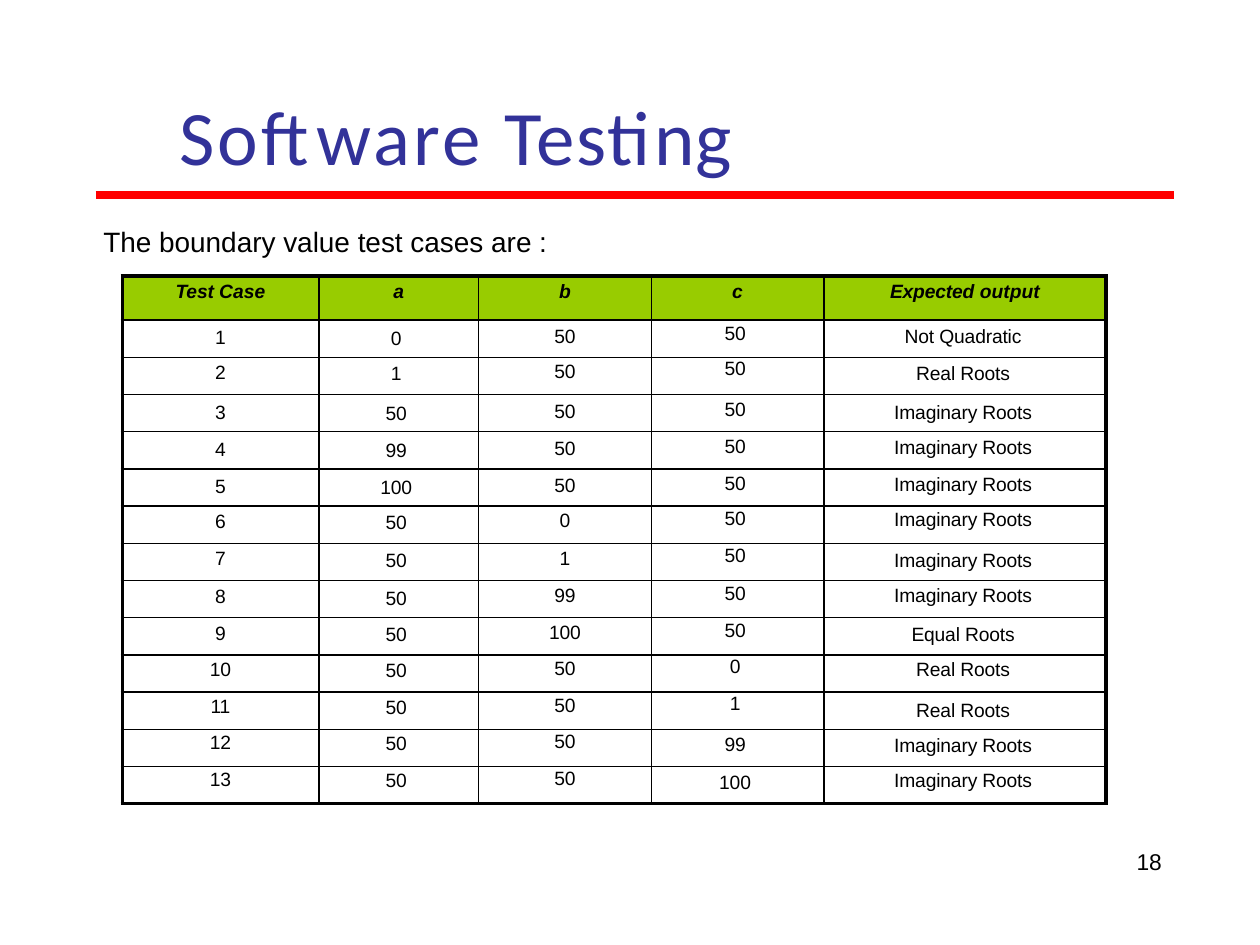
from dataclasses import dataclass

import pptx
import pptx.dml.color
import pptx.enum.shapes
import pptx.enum.text
import pptx.oxml
import pptx.oxml.ns
import pptx.slide
import pptx.util

Inches = pptx.util.Inches
Pt = pptx.util.Pt
ALIGN = pptx.enum.text.PP_ALIGN
ANCHOR = pptx.enum.text.MSO_ANCHOR


def color(hex_string):
    return pptx.dml.color.RGBColor.from_string(hex_string)


def drawing_element(body):
    namespace = pptx.oxml.ns.nsdecls("a")
    return pptx.oxml.parse_xml(body.replace(">", f" {namespace}>", 1))


@dataclass
class SlideBuilder:
    slide: pptx.slide.Slide
    font: str = "Arial"
    text_color: str = "000000"
    header_fill: str = "98CC00"
    cell_size: float = 11
    inner_border: float = 1
    outer_border: float = 2.25

    def add_run(self, paragraph, text, size, spacing=0, font=None, hex_color=None,
                emphasis=False):
        run = paragraph.add_run()
        run.text = text
        run.font.size = Pt(size)
        run.font.name = font or self.font
        run.font.bold = run.font.italic = emphasis
        run.font.color.rgb = color(hex_color or self.text_color)
        if spacing:
            run.font._element.set("spc", str(round(spacing * 100)))

    def text(self, left, top, width, height, runs, size, align=ALIGN.LEFT,
             anchor=ANCHOR.TOP, line_spacing=None, **style):
        box = self.slide.shapes.add_textbox(
            Inches(left), Inches(top), Inches(width), Inches(height))
        frame = box.text_frame
        frame.word_wrap = True
        frame.vertical_anchor = anchor
        frame.margin_left = frame.margin_right = frame.margin_bottom = 0
        frame.margin_top = Inches(0.01)
        paragraph = frame.paragraphs[0]
        paragraph.alignment = align
        if line_spacing:
            paragraph.line_spacing = Pt(line_spacing)
        for text, spacing in runs:
            self.add_run(paragraph, text, size, spacing, **style)

    def rule(self, left, top, width, hex_color, weight):
        line = self.slide.shapes.add_connector(
            pptx.enum.shapes.MSO_CONNECTOR.STRAIGHT,
            Inches(left), Inches(top), Inches(left + width), Inches(top))
        line.line.color.rgb = color(hex_color)
        line.line.width = Pt(weight)
        line._element.spPr.append(drawing_element("<a:effectLst></a:effectLst>"))

    def table(self, left, top, widths, heights):
        frame = self.slide.shapes.add_table(
            len(heights), len(widths), Inches(left), Inches(top),
            Inches(sum(widths)), Inches(sum(heights)))
        table = frame.table
        table.first_row = table.horz_banding = False
        for column, width in zip(table.columns, widths):
            column.width = Inches(width)
        for row, height in zip(table.rows, heights):
            row.height = Inches(height)
        return table

    def cell(self, table, row, column, runs, top=0, right=0, header=False):
        cell = table.cell(row, column)
        cell.margin_left = cell.margin_bottom = 0
        cell.margin_right = Inches(right)
        cell.margin_top = Pt(max(top, 0))
        paragraph = cell.text_frame.paragraphs[0]
        paragraph.alignment = ALIGN.CENTER
        if top <= 0:
            paragraph.line_spacing = Pt(15.2)
        for text, spacing in runs:
            self.add_run(paragraph, text, self.cell_size, spacing, emphasis=header)
        if header:
            cell.fill.solid()
            cell.fill.fore_color.rgb = color(self.header_fill)
        else:
            cell.fill.background()
        self.borders(cell, {
            "L": column == 0,
            "R": column == len(table.columns) - 1,
            "T": row == 0,
            "B": row == len(table.rows) - 1})

    def borders(self, cell, outer_sides):
        properties = cell._tc.get_or_add_tcPr()
        for index, (side, outer) in enumerate(outer_sides.items()):
            width = Pt(self.outer_border if outer else self.inner_border)
            border = drawing_element(
                f'<a:ln{side}><a:solidFill><a:srgbClr val="{self.text_color}"/>'
                f"</a:solidFill></a:ln{side}>")
            border.set("w", str(width))
            properties.insert(index, border)


HEADERS = [
    [("Test ", -0.1), ("Case", 0)], [("a", 0)], [("b", 0)], [("c", 0)],
    [("Expected", -0.1), (" output", 0)]]

# a, b, c, expected output, top inset of the row and of its output in points
TEST_CASES = [
    (0, 50, 50, "Not Quadratic", 3.8, 3.6),
    (1, 50, 50, "Real Roots", 2.5, 3.5),
    (50, 50, 50, "Imaginary Roots", 4.4, 4.4),
    (99, 50, 50, "Imaginary Roots", 4.4, 3.3),
    (100, 50, 50, "Imaginary Roots", 4.2, 3),
    (50, 0, 50, "Imaginary Roots", 3, 1.9),
    (50, 1, 50, "Imaginary Roots", 3, 4),
    (50, 99, 50, "Imaginary Roots", 3.4, 2.8),
    (50, 100, 50, "Equal Roots", 3, 3.5),
    (50, 50, 0, "Real Roots", 2.2, 2.4),
    (50, 50, 1, "Real Roots", 2.2, 4.6),
    (50, 50, 99, "Imaginary Roots", 1.5, 3.3),
    (50, 50, 100, "Imaginary Roots", 1.4, 2.1)]
COLUMN_WIDTHS = [1.56, 1.27, 1.37, 1.37, 2.24]
COLUMN_SHIFTS = [0, 0.7, -0.5, -1.8]
RIGHT_INSETS = [0, 0.04, 0, 0.04, 0.03]
HEADER_HEIGHT = 0.35
TABLE_HEIGHT = 4.19


def main():
    presentation = pptx.Presentation()
    presentation.slide_width = Inches(10)
    presentation.slide_height = Inches(7.5)
    slide = presentation.slides.add_slide(presentation.slide_layouts[6])
    builder = SlideBuilder(slide)

    # Title and red rule
    builder.text(0.7, 0.69, 5.84, 0.75, [("Software ", 1.7), ("Testing", 0.9)], 44,
                 ALIGN.CENTER, ANCHOR.MIDDLE, font="Calibri", hex_color="323299")
    builder.rule(0.76, 1.55, 8.56, "FF0000", 4.5)

    # Introduction and page number
    builder.text(0.82, 1.77, 3.8, 0.28, [("The boundary value test cases are :", 0)], 16)
    builder.text(9.02, 6.75, 0.25, 0.18, [("18", 0)], 13, line_spacing=13.2)

    # Boundary value table
    row_height = (TABLE_HEIGHT - HEADER_HEIGHT) / len(TEST_CASES)
    heights = [HEADER_HEIGHT] + [row_height] * len(TEST_CASES)
    table = builder.table(0.97, 2.19, COLUMN_WIDTHS, heights)
    for column, runs in enumerate(HEADERS):
        builder.cell(table, 0, column, runs, header=True)
    for row, (a, b, c, output, base, output_top) in enumerate(TEST_CASES, start=1):
        tops = [base + shift for shift in COLUMN_SHIFTS] + [output_top]
        for column, value in enumerate((row, a, b, c, output)):
            text = str(value)
            spacing = -0.1 if len(text) > 1 else 0
            builder.cell(table, row, column, [(text, spacing)], tops[column],
                         RIGHT_INSETS[column])

    presentation.save("out.pptx")


if __name__ == "__main__":
    main()
